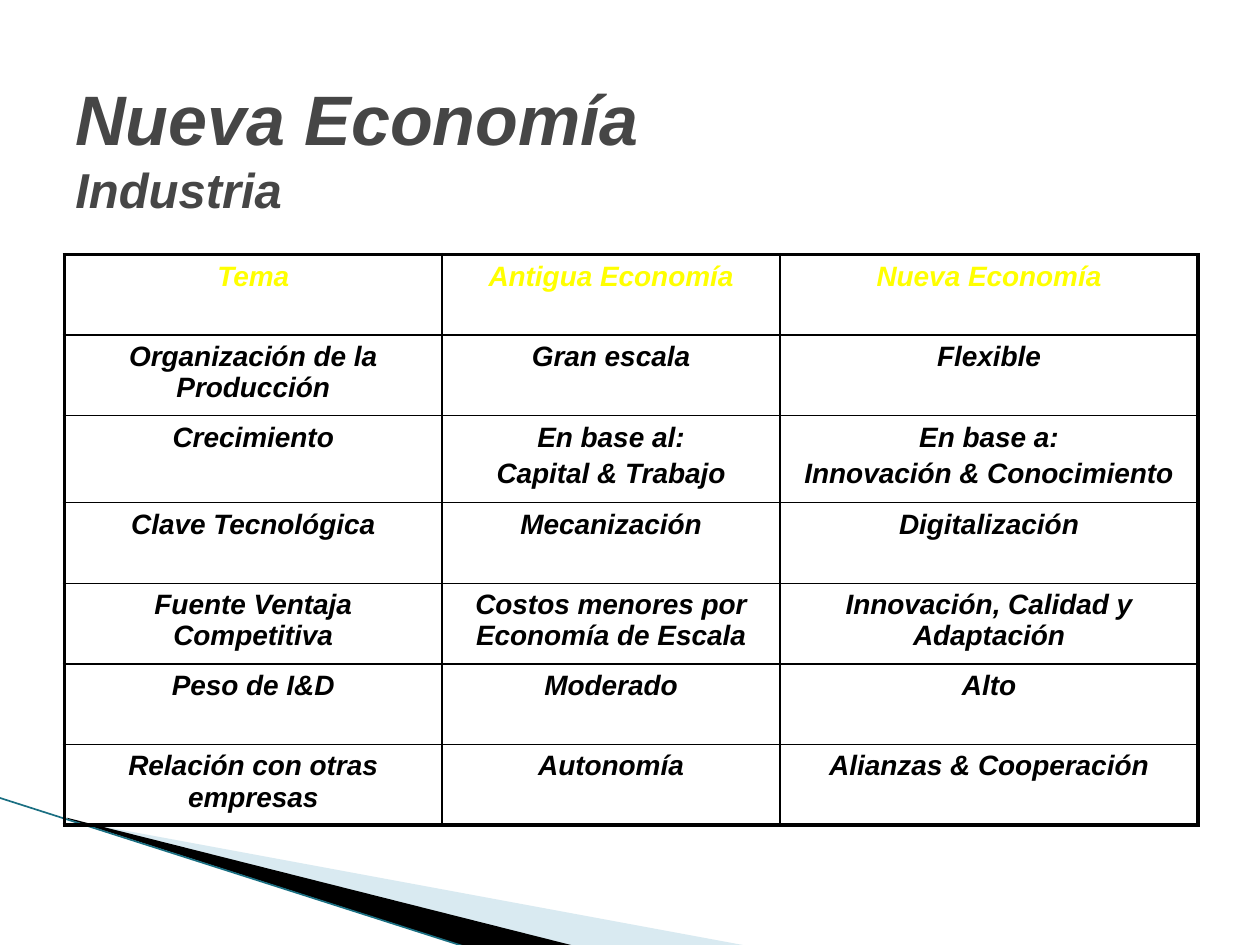
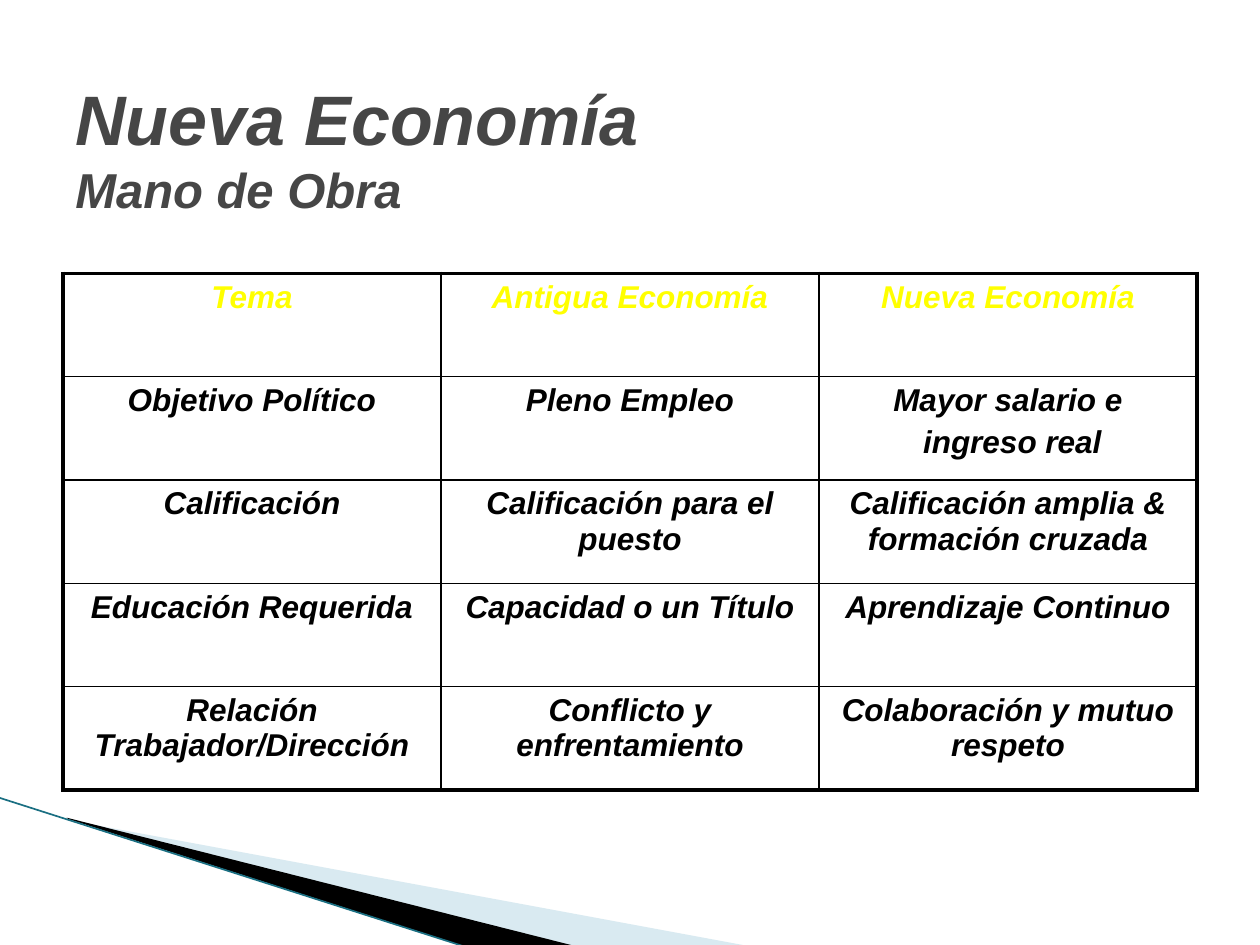
from dataclasses import dataclass

from lxml.etree import SubElement
from pptx import Presentation
from pptx.dml.color import RGBColor as Rgb
from pptx.enum.shapes import MSO_CONNECTOR as Connector
from pptx.enum.text import MSO_ANCHOR as Anchor, PP_ALIGN as Align
from pptx.oxml import parse_xml
from pptx.oxml.ns import nsdecls, qn
from pptx.util import Inches, Pt


@dataclass(frozen=True)
class Theme:
    """Colours, font and sizes shared by the slides."""
    font: str = "Arial"
    title: str = "464646"
    header: str = "FFFF00"
    ink: str = "000000"
    pale: str = "A0CBDC"
    stripe: str = "1A6F82"
    title_size: int = 40
    subtitle_size: int = 28
    outer: float = 2.25
    inner: float = 1
    stripe_width: float = 0.95


THEME = Theme()
HEADER = ["Tema", "Antigua Economía", "Nueva Economía"]

INDUSTRY = [
    HEADER,
    ["Organización de la Producción", "Gran escala", "Flexible"],
    ["Crecimiento", "En base al:\nCapital & Trabajo",
     "En base a:\nInnovación & Conocimiento"],
    ["Clave Tecnológica", "Mecanización", "Digitalización"],
    ["Fuente Ventaja Competitiva", "Costos menores por Economía de Escala",
     "Innovación, Calidad y Adaptación"],
    ["Peso de I&D", "Moderado", "Alto"],
    ["Relación con otras empresas", "Autonomía", "Alianzas & Cooperación"],
]

LABOUR = [
    HEADER,
    ["Objetivo Político", "Pleno Empleo", "Mayor salario e\n ingreso real"],
    ["Calificación", "Calificación para el puesto",
     "Calificación amplia & formación cruzada"],
    ["Educación Requerida", "Capacidad o un Título", "Aprendizaje Continuo"],
    ["Relación Trabajador/Dirección", "Conflicto y enfrentamiento",
     "Colaboración y mutuo respeto"],
]


def style_run(run, size, color):
    """Give a run the bold italic face of the deck."""
    font = run.font
    font.name, font.size = THEME.font, Pt(size)
    font.bold = font.italic = True
    font.color.rgb = Rgb.from_string(color)


def add_wedge(slide, left, top, points, color, alpha=None):
    """Draw a filled outline whose points are relative to left and top."""
    corners = [(Inches(left + x), Inches(top + y)) for x, y in points]
    builder = slide.shapes.build_freeform(*corners[0], scale=1.0)
    builder.add_line_segments(corners[1:], close=True)
    wedge = builder.convert_to_shape()
    wedge.shadow.inherit = False
    wedge.line.fill.background()
    wedge.fill.solid()
    wedge.fill.fore_color.rgb = Rgb.from_string(color)
    if alpha is not None:
        tint = wedge.fill._xPr.find(".//" + qn("a:srgbClr"))
        SubElement(tint, qn("a:alpha")).set("val", str(alpha * 1000))


def add_corner(slide, left, top):
    """Draw the wedges and the stripe of the lower left corner."""
    add_wedge(slide, left + 0.55, top + 0.17,
              [(0, 0.01), (5.4, 1.01), (4.01, 1.01), (0, 0)], THEME.pale, 40)
    add_wedge(slide, left + 0.53, top + 0.16,
              [(0, 0), (4.04, 1.02), (3.19, 1.03), (0.01, 0.01)], THEME.ink)
    stripe = slide.shapes.add_connector(
        Connector.STRAIGHT, Inches(left - 0.01), Inches(top),
        Inches(left + 3.71), Inches(top + 1.19))
    stripe.line.color.rgb = Rgb.from_string(THEME.stripe)
    stripe.line.width = Pt(THEME.stripe_width)
    SubElement(stripe._element.spPr, qn("a:effectLst"))


def add_title(slide, left, top, width, height, subtitle):
    """Write the deck title with the slide's subtitle under it."""
    frame = slide.shapes.add_textbox(
        Inches(left), Inches(top), Inches(width), Inches(height)).text_frame
    frame.word_wrap = True
    frame.vertical_anchor = Anchor.MIDDLE
    heading = frame.paragraphs[0]
    heading.text = f"Nueva Economía \v{subtitle}"
    for run, size in zip(heading.runs, (THEME.title_size, THEME.subtitle_size)):
        style_run(run, size, THEME.title)


def set_borders(cell, row, column, last_row, last_column):
    """Draw thick lines on the table's rim and thin ones inside."""
    rims = {"L": column == 0, "R": column == last_column,
            "T": row == 0, "B": row == last_row}
    properties = cell._tc.get_or_add_tcPr()
    for index, (side, on_rim) in enumerate(rims.items()):
        width = Pt(THEME.outer if on_rim else THEME.inner)
        properties.insert(index, parse_xml(
            f'<a:ln{side} {nsdecls("a")} w="{width}"><a:solidFill>'
            f'<a:srgbClr val="{THEME.ink}"/></a:solidFill></a:ln{side}>'))


def fill_cell(cell, text, size, color):
    """Write centred lines in a transparent cell."""
    cell.fill.background()
    cell.text_frame.text = text
    for index, paragraph in enumerate(cell.text_frame.paragraphs):
        paragraph.alignment = Align.CENTER
        if index:
            paragraph.space_before = Pt(size * 0.2)
        for run in paragraph.runs:
            style_run(run, size, color)


def add_comparison(slide, left, top, topics, widths, heights, size):
    """Build the table that compares the old and the new economy."""
    table = slide.shapes.add_table(
        len(topics), len(widths), Inches(left), Inches(top),
        Inches(sum(widths)), Inches(sum(heights))).table
    table.first_row = table.horz_banding = False
    for column, width in zip(table.columns, widths):
        column.width = Inches(width)
    for r, (topic, height) in enumerate(zip(topics, heights)):
        table.rows[r].height = Inches(height)
        for c, text in enumerate(topic):
            cell = table.cell(r, c)
            fill_cell(cell, text, size, THEME.ink if r else THEME.header)
            set_borders(cell, r, c, len(topics) - 1, len(widths) - 1)


def add_topic_slide(deck, subtitle, left, top, topics, widths, heights, size):
    """Add one slide with corner, title and comparison table."""
    slide = deck.slides.add_slide(deck.slide_layouts[6])
    add_corner(slide, 0, 6.33)
    add_title(slide, 0.5, 0.42, 9, 1.5, subtitle)
    add_comparison(slide, left, top, topics, widths, heights, size)


def main():
    """Build and save the deck."""
    deck = Presentation()
    deck.slide_width, deck.slide_height = Inches(10), Inches(7.5)
    add_topic_slide(deck, "Industria", 0.51, 2.02, INDUSTRY,
                    [3, 2.68, 3.32], [0.64] * 2 + [0.69] + [0.64] * 4, 16)
    add_topic_slide(deck, "Mano de Obra", 0.5, 2.17, LABOUR,
                    [3] * 3, [0.82] * 5, 18)
    deck.save("out.pptx")


main()
